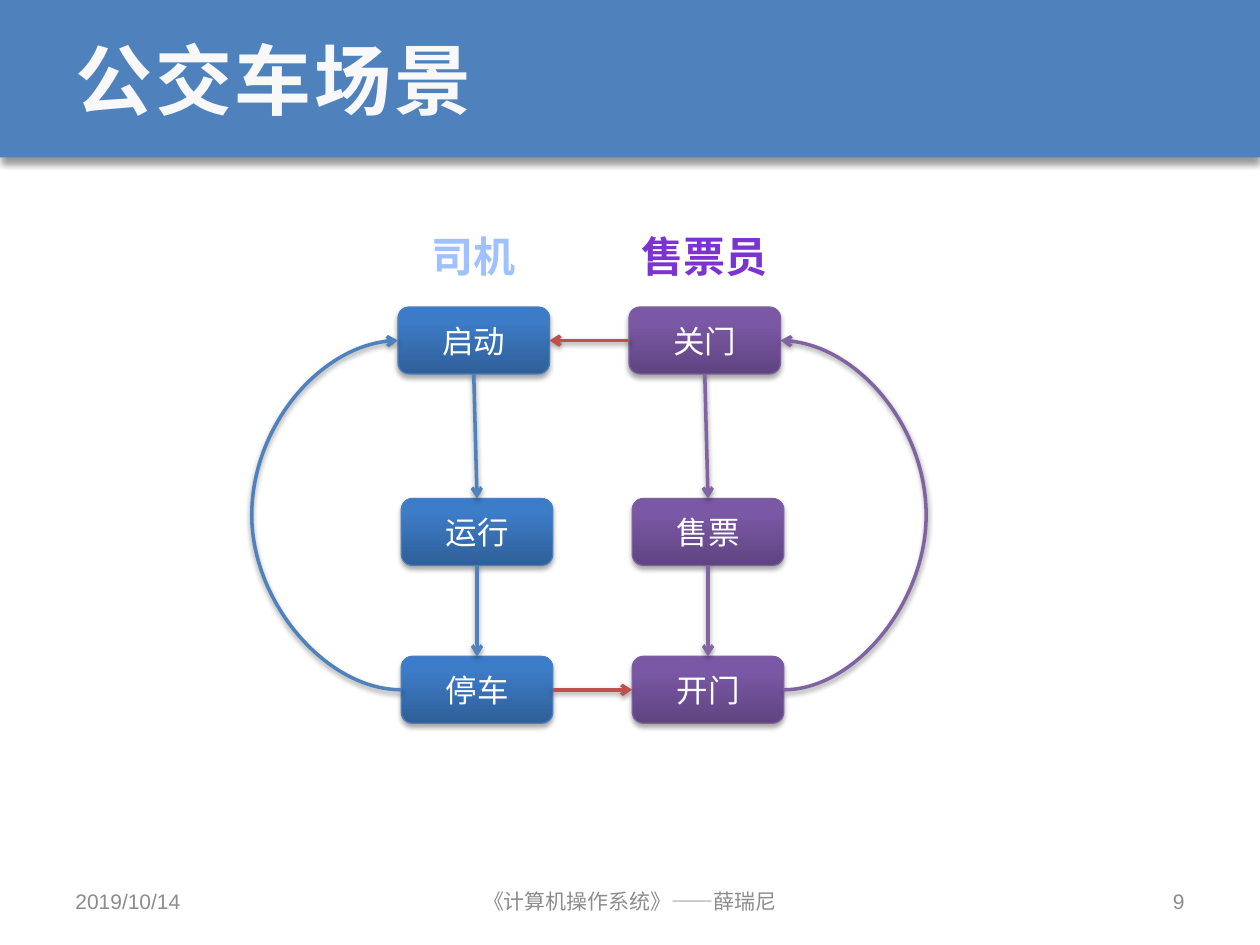
from dataclasses import dataclass

from pptx import Presentation
from pptx import util as u
from pptx.dml.color import RGBColor
from pptx.enum import shapes, text
from pptx.oxml import parse_xml
from pptx.oxml.ns import nsdecls, qn

LEFT, CENTER, RIGHT = text.PP_ALIGN.LEFT, text.PP_ALIGN.CENTER, text.PP_ALIGN.RIGHT
TOP_SIDE, LEFT_SIDE, BOTTOM_SIDE, RIGHT_SIDE = range(4)


@dataclass(frozen=True)
class Role:
    """Colours of one person's column; gradients are (percent, colour) stops."""
    node: tuple
    border: str
    arrow: str
    label: tuple
    label_outline: str
    outline_width: float


@dataclass(frozen=True)
class Theme:
    latin: str = "Arial"
    heading: str = "Noto Sans Mono"
    band: str = "4F81BD"
    title: str = "F8F8F8"
    footer: str = "8C8C8C"
    node_text: str = "FFFFFF"
    signal: str = "C0504D"
    title_size: int = 44
    label_size: int = 24
    node_size: int = 18
    footer_size: int = 12
    driver: Role = Role(
        ((0, "2F5F99"), (80, "3D7CC7"), (100, "3A7CCB")), "4B7EBC", "4F81BD",
        ((0, "BFD3F9"), (9, "A0C1FF"), (50, "003D85"), (79, "A0C1FF"), (100, "BFD3F9")),
        "467AB8", 0.83)
    conductor: Role = Role(
        ((0, "5F4480"), (80, "7B58A6"), (100, "7C57A8")), "7D60A0", "8064A2",
        ((0, "3D1B67"), (43, "7B34D2"), (48, "7330C4"), (100, "3D1B67")),
        "5E457C", 0.71)


def set_gradient(fill, holder, stops, angle):
    fill.solid()
    stop_xml = "".join(
        f'<a:gs pos="{percent * 1000}"><a:srgbClr val="{color}"/></a:gs>'
        for percent, color in stops)
    gradient = parse_xml(
        f'<a:gradFill {nsdecls("a")} rotWithShape="1"><a:gsLst>{stop_xml}</a:gsLst>'
        f'<a:lin ang="{angle * 60000}" scaled="0"/></a:gradFill>')
    holder.replace(holder.find(qn("a:solidFill")), gradient)


def set_shadow(shape, opacity, blur, distance):
    properties = shape._element.spPr
    old = properties.find(qn("a:effectLst"))
    if old is not None:
        properties.remove(old)
    properties.append(parse_xml(
        f'<a:effectLst {nsdecls("a")}><a:outerShdw blurRad="{u.Pt(blur)}" '
        f'dist="{u.Pt(distance)}" dir="5400000" rotWithShape="0"><a:srgbClr val="000000">'
        f'<a:alpha val="{opacity * 1000}"/></a:srgbClr></a:outerShdw></a:effectLst>'))


class SlideBuilder:
    def __init__(self, slide, theme):
        self.slide, self.theme = slide, theme

    def add_words(self, frame, words, size, color, align, font=None, bold=False):
        paragraph = frame.paragraphs[0]
        paragraph.alignment = align
        run = paragraph.add_run()
        run.text = words
        run.font.size, run.font.bold = u.Pt(size), bold
        run.font.name = font or self.theme.latin
        run.font.color.rgb = RGBColor.from_string(color)
        return run

    def band(self, width, height):
        band = self.slide.shapes.add_shape(
            shapes.MSO_SHAPE.RECTANGLE, 0, 0, u.Pt(width), u.Pt(height))
        band.fill.solid()
        band.fill.fore_color.rgb = RGBColor.from_string(self.theme.band)
        band.line.fill.background()
        set_shadow(band, 40, 4, 3)
        self.slide.shapes._spTree.insert(2, band._element)  # behind the title

    def title(self, words, left, top, width, height):
        title = self.slide.shapes.title
        title.left, title.top = u.Pt(left), u.Pt(top)
        title.width, title.height = u.Pt(width), u.Pt(height)
        title.text_frame.vertical_anchor = text.MSO_ANCHOR.MIDDLE
        run = self.add_words(title.text_frame, words, self.theme.title_size,
                             self.theme.title, LEFT, self.theme.heading, True)
        run._r.get_or_add_rPr().set("spc", "150")

    def text_box(self, left, top, width, height):
        frame = self.slide.shapes.add_textbox(
            u.Pt(left), u.Pt(top), u.Pt(width), u.Pt(height)).text_frame
        frame.word_wrap = True
        return frame

    def footer(self, words, left, width, align, font=None):
        frame = self.text_box(left, 500.5, width, 28.75)
        frame.vertical_anchor = text.MSO_ANCHOR.MIDDLE
        self.add_words(frame, words, self.theme.footer_size, self.theme.footer, align, font)

    def role_label(self, words, role, left, top, width, height):
        frame = self.text_box(left, top, width, height)
        frame.auto_size = text.MSO_AUTO_SIZE.SHAPE_TO_FIT_TEXT
        run = self.add_words(frame, words, self.theme.label_size, role.border, CENTER,
                             bold=True)
        properties = run._r.get_or_add_rPr()
        set_gradient(run.font.fill, properties, role.label, 90)
        properties.insert(0, parse_xml(
            f'<a:ln {nsdecls("a")} w="{u.Pt(role.outline_width)}"><a:solidFill>'
            f'<a:srgbClr val="{role.label_outline}"/></a:solidFill></a:ln>'))

    def node(self, words, role, left, top, width, height):
        node = self.slide.shapes.add_shape(
            shapes.MSO_SHAPE.ROUNDED_RECTANGLE,
            u.Pt(left), u.Pt(top), u.Pt(width), u.Pt(height))
        set_gradient(node.fill, node._element.spPr, role.node, 270)
        node.line.color.rgb = RGBColor.from_string(role.border)
        node.line.width = u.Pt(0.75)
        set_shadow(node, 35, 3.1, 1.8)
        node.text_frame.vertical_anchor = text.MSO_ANCHOR.MIDDLE
        self.add_words(node.text_frame, words, self.theme.node_size,
                       self.theme.node_text, CENTER)
        return node

    def arrow(self, start, start_side, end, end_side, color, bulge=None):
        """Join two nodes; bulge is how far a curved arrow swings to the left."""
        kind = shapes.MSO_CONNECTOR.STRAIGHT if bulge is None else shapes.MSO_CONNECTOR.CURVE
        arrow = self.slide.shapes.add_connector(kind, 0, 0, 0, 0)
        arrow.begin_connect(start, start_side)
        arrow.end_connect(end, end_side)
        arrow.line.color.rgb = RGBColor.from_string(color)
        arrow.line.width = u.Pt(2)
        properties = arrow._element.spPr
        properties.find(qn("a:ln")).append(
            parse_xml(f'<a:tailEnd {nsdecls("a")} type="arrow"/>'))
        if bulge is not None:
            ratio = round(u.Pt(bulge) / arrow.width * 100000)
            guides = properties.find(qn("a:prstGeom")).get_or_add_avLst()
            guides.append(parse_xml(
                f'<a:gd {nsdecls("a")} name="adj1" fmla="val {ratio}"/>'))
        set_shadow(arrow, 38, 3.1, 1.6)


def main():
    deck = Presentation()
    deck.slide_width, deck.slide_height = u.Pt(720), u.Pt(540)
    theme = Theme()
    page = SlideBuilder(deck.slides.add_slide(deck.slide_layouts[5]), theme)

    page.band(720, 90)
    page.title("公交车场景", 36, 0, 648, 90)
    page.footer("2019/10/14", 36, 168, LEFT)
    page.footer("《计算机操作系统》——薛瑞尼", 204, 312, CENTER, theme.heading)
    page.footer("9", 516, 168, RIGHT)

    node_width, node_height = 86.6, 38.2
    first_left, column_step, first_inset = 229.3, 132, 1.88
    row_tops = (175.5, 284.9, 375.1)
    columns = (
        ("司机", theme.driver, ("启动", "运行", "停车"), LEFT_SIDE, 85.8),
        ("售票员", theme.conductor, ("关门", "售票", "开门"), RIGHT_SIDE, -81.8),
    )
    routes = []
    for index, (person, role, steps, outer_side, bulge) in enumerate(columns):
        left = first_left + index * column_step
        page.role_label(person, role, left - 11.2, 128.2, 105.1, 36.3)
        lefts = (left - first_inset, left, left)
        nodes = [page.node(step, role, x, y, node_width, node_height)
                 for step, x, y in zip(steps, lefts, row_tops)]
        for upper, lower in zip(nodes, nodes[1:]):
            page.arrow(upper, BOTTOM_SIDE, lower, TOP_SIDE, role.arrow)
        page.arrow(nodes[-1], outer_side, nodes[0], outer_side, role.arrow, bulge)
        routes.append(nodes)

    (start, _, stop), (close_door, _, open_door) = routes
    page.arrow(stop, RIGHT_SIDE, open_door, LEFT_SIDE, theme.signal)
    page.arrow(close_door, LEFT_SIDE, start, RIGHT_SIDE, theme.signal)

    deck.save("out.pptx")


if __name__ == "__main__":
    main()
